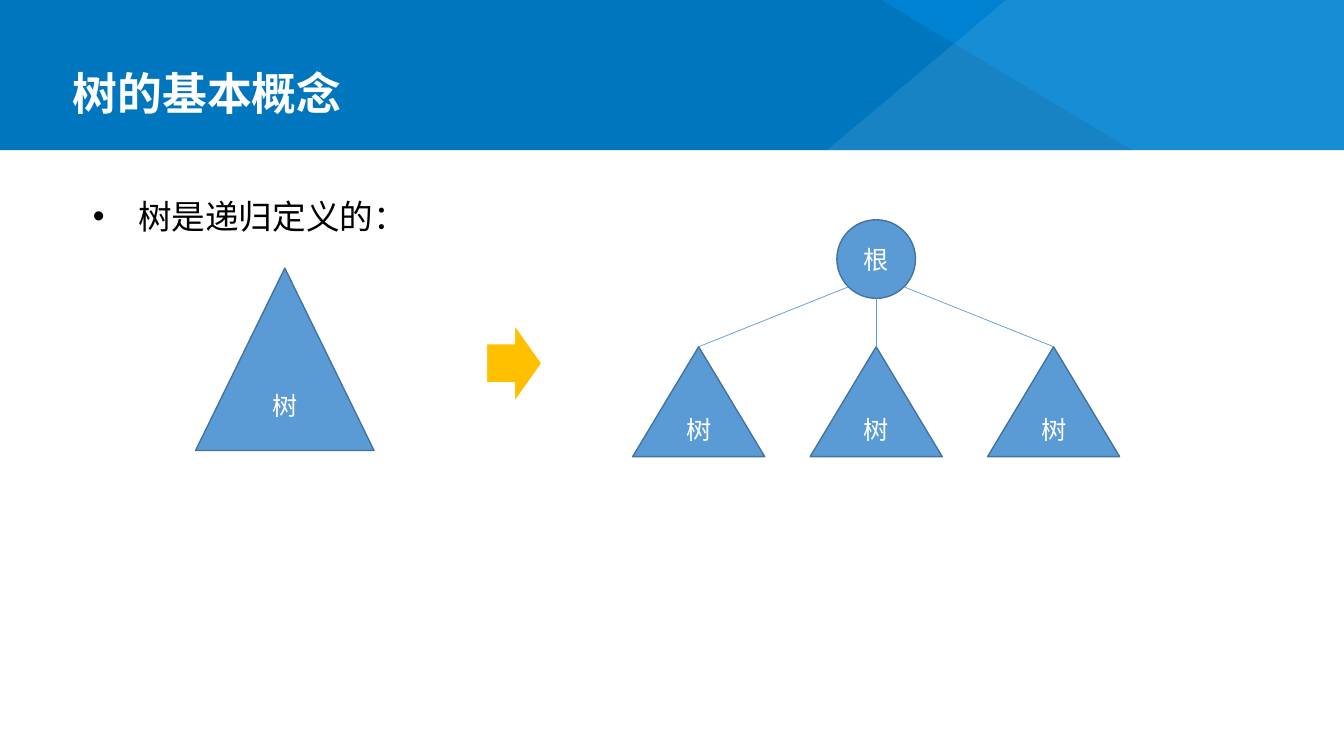
from math import cos, radians, sin

from lxml.etree import SubElement
from pptx import Presentation
from pptx.dml.color import RGBColor
from pptx.enum.shapes import MSO_CONNECTOR, MSO_SHAPE
from pptx.enum.text import MSO_ANCHOR, MSO_AUTO_SIZE, PP_ALIGN
from pptx.oxml.ns import qn
from pptx.util import Inches, Pt

# Content
TITLE = "树的基本概念"
BULLET = "树是递归定义的："
WHOLE_TREE = "树"
ROOT = "根"
SUBTREES = ["树", "树", "树"]

FONT = "Noto Sans CJK SC"
WHITE = RGBColor(0xFF, 0xFF, 0xFF)
BLACK = RGBColor(0, 0, 0)
BAND_BLUE = RGBColor(0x00, 0x82, 0xD3)
NODE_BLUE = RGBColor(0x5B, 0x9B, 0xD5)
NODE_EDGE = RGBColor(0x43, 0x73, 0x9E)
ARROW_GOLD = RGBColor(0xFF, 0xC0, 0x00)

# Layout in inches
SLIDE_W, SLIDE_H, BAND_H = 13.33, 7.5, 1.49
BAND_FACETS = [
    (BLACK, [(0, 0), (8.74, 0), (11.23, BAND_H), (0, BAND_H)]),
    (WHITE, [(9.98, 0), (SLIDE_W, 0), (SLIDE_W, BAND_H), (8.2, BAND_H)]),
]
FACET_ALPHA = 9
ROOT_X, ROOT_Y, ROOT_R = 8.69, 2.57, 0.39
SUBTREE_W, SUBTREE_H, SUBTREE_TOP, SUBTREE_STEP = 1.31, 1.09, 3.44, 1.76
EDGE_ANGLES = [135, 90, 45]

prs = Presentation()
prs.slide_width, prs.slide_height = Inches(SLIDE_W), Inches(SLIDE_H)
s = prs.slides.add_slide(prs.slide_layouts[1])


def style_text(p, size, color, bold=False):
    for r in p.runs:
        r.font.name, r.font.size, r.font.bold = FONT, Pt(size), bold
        r.font.color.rgb = color
        SubElement(r.font._element, qn("a:ea"), typeface=FONT)


def add_filled(kind, x, y, w, h, fill, edge=None, edge_width=1):
    sp = s.shapes.add_shape(kind, Inches(x), Inches(y), Inches(w), Inches(h))
    sp.shadow.inherit = False
    sp.fill.solid()
    sp.fill.fore_color.rgb = fill
    if edge is None:
        sp.line.fill.background()
    else:
        sp.line.color.rgb = edge
        sp.line.width = Pt(edge_width)
    return sp


def add_node(kind, x, y, w, h, label):
    sp = add_filled(kind, x, y, w, h, NODE_BLUE, NODE_EDGE)
    tf = sp.text_frame
    tf.text = label
    tf.vertical_anchor = MSO_ANCHOR.MIDDLE
    tf.paragraphs[0].alignment = PP_ALIGN.CENTER
    style_text(tf.paragraphs[0], 18, WHITE)
    return sp


def fill_placeholder(sp, x, y, w, h, text, anchor, spacing):
    sp.left, sp.top, sp.width, sp.height = (Inches(v) for v in (x, y, w, h))
    tf = sp.text_frame
    tf.text = text
    tf.word_wrap = True
    tf.auto_size = MSO_AUTO_SIZE.NONE
    tf.vertical_anchor = anchor
    p = tf.paragraphs[0]
    p.alignment = PP_ALIGN.LEFT
    p.line_spacing = spacing
    p.space_before = Pt(0)
    s.shapes._spTree.append(sp._element)  # bring in front of the band
    return p


# Header band with two translucent facets
add_filled(MSO_SHAPE.RECTANGLE, 0, 0, SLIDE_W, BAND_H, BAND_BLUE)
for color, points in BAND_FACETS:
    corners = [(Inches(x), Inches(y)) for x, y in points]
    builder = s.shapes.build_freeform(*corners[0])
    builder.add_line_segments(corners[1:])
    sp = builder.convert_to_shape()
    sp.shadow.inherit = False
    sp.fill.solid()
    sp.fill.fore_color.rgb = color
    sp.line.fill.background()
    clr = sp._element.spPr.find(qn("a:solidFill"))[0]
    SubElement(clr, qn("a:alpha"), val=str(FACET_ALPHA * 1000))

# Title and bullet
p = fill_placeholder(s.shapes.title, 0.62, 0.62, 12.09, 0.62, TITLE,
                     MSO_ANCHOR.BOTTOM, 0.9)
style_text(p, 32, WHITE, bold=True)

p = fill_placeholder(s.placeholders[1], 0.82, 1.69, 11.49, 4.84, BULLET,
                     MSO_ANCHOR.TOP, 1.5)
pPr = p._p.get_or_add_pPr()
pPr.set("marL", str(Inches(0.45)))
pPr.set("indent", str(-Inches(0.45)))
SubElement(pPr, qn("a:buFont"), typeface="Arial")
SubElement(pPr, qn("a:buChar"), char="•")
style_text(p, 24, BLACK)

# Whole tree, then the arrow to its recursive form
add_node(MSO_SHAPE.ISOSCELES_TRIANGLE, 1.94, 2.66, 1.77, 1.81, WHOLE_TREE)
add_filled(MSO_SHAPE.RIGHT_ARROW, 4.82, 3.21, 0.56, 0.79, ARROW_GOLD, WHITE, 1.5)

# Root with its subtrees
add_node(MSO_SHAPE.OVAL, ROOT_X - ROOT_R, ROOT_Y - ROOT_R,
         2 * ROOT_R, 2 * ROOT_R, ROOT)
first_x = ROOT_X - SUBTREE_STEP * (len(SUBTREES) - 1) / 2
for i, (label, angle) in enumerate(zip(SUBTREES, EDGE_ANGLES)):
    x = first_x + i * SUBTREE_STEP
    subtree = add_node(MSO_SHAPE.ISOSCELES_TRIANGLE, x - SUBTREE_W / 2,
                       SUBTREE_TOP, SUBTREE_W, SUBTREE_H, label)
    edge = s.shapes.add_connector(
        MSO_CONNECTOR.STRAIGHT,
        Inches(ROOT_X + ROOT_R * cos(radians(angle))),
        Inches(ROOT_Y + ROOT_R * sin(radians(angle))),
        Inches(x), Inches(SUBTREE_TOP))
    edge.end_connect(subtree, 0)
    edge.line.color.rgb = NODE_BLUE
    edge.line.width = Pt(0.5)
    SubElement(edge._element.spPr, qn("a:effectLst"))

prs.save("out.pptx")
